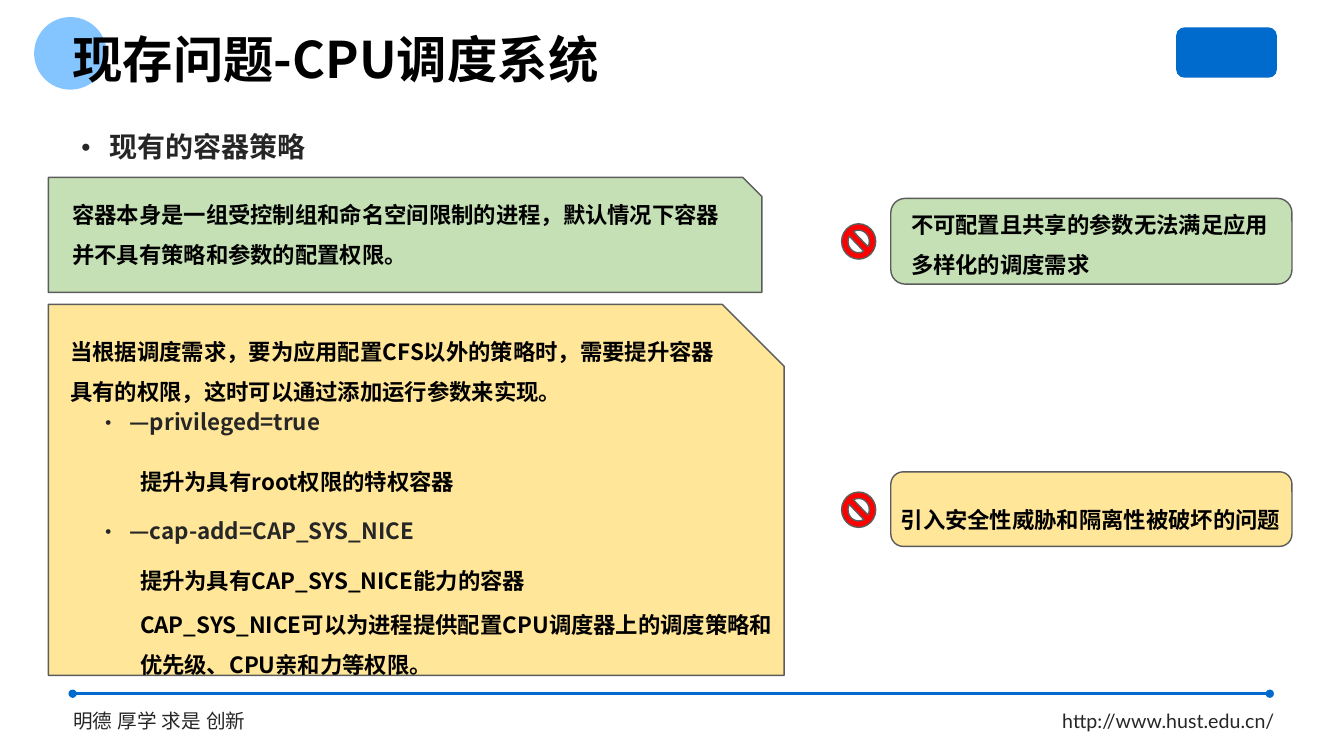
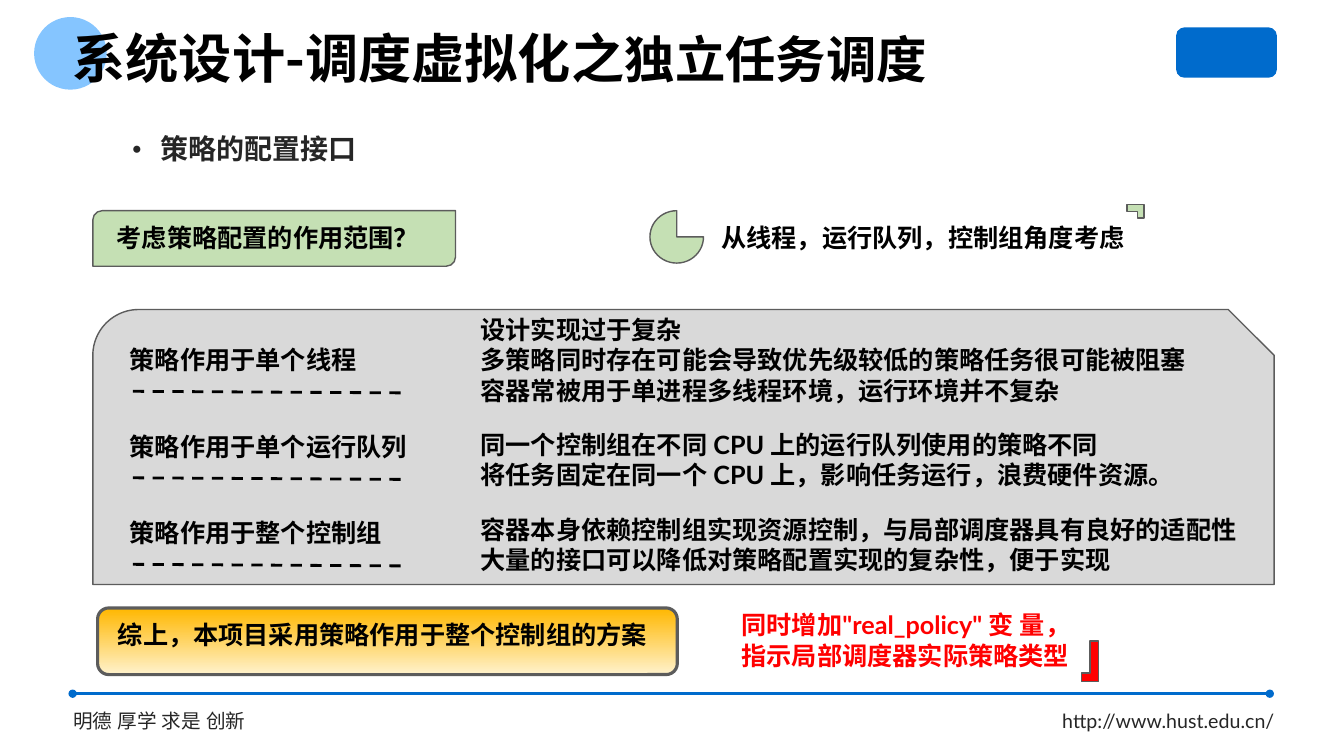
from lxml import etree
from pptx import Presentation
from pptx.dml.color import RGBColor
from pptx.enum.dml import MSO_LINE
from pptx.enum.shapes import MSO_CONNECTOR, MSO_SHAPE
from pptx.enum.text import MSO_ANCHOR, MSO_AUTO_SIZE, PP_ALIGN
from pptx.oxml.ns import qn
from pptx.util import Cm, Pt

BLACK = RGBColor(0x00, 0x00, 0x00)
INK = RGBColor(0x26, 0x26, 0x26)
OUTLINE = RGBColor(0x5C, 0x5C, 0x5C)
BLUE = RGBColor(0x00, 0x6B, 0xCC)
SKY = RGBColor(0x85, 0xC5, 0xFF)
GREEN = RGBColor(0xC5, 0xE0, 0xB4)
YELLOW = RGBColor(0xFF, 0xE6, 0x99)
GRAY = RGBColor(0xD9, 0xD9, 0xD9)
RED = RGBColor(0xFF, 0x00, 0x00)
CREAM = RGBColor(0xFF, 0xF2, 0xCC)
GOLD = RGBColor(0xFF, 0xB7, 0x00)

OVAL, ROUNDED = MSO_SHAPE.OVAL, MSO_SHAPE.ROUNDED_RECTANGLE
SNIPPED, SNIP_ROUND = MSO_SHAPE.SNIP_1_RECTANGLE, MSO_SHAPE.SNIP_ROUND_RECTANGLE
DIAGONAL, PIE = MSO_SHAPE.ROUND_2_DIAG_RECTANGLE, MSO_SHAPE.PIE
CORNER, FORBIDDEN = MSO_SHAPE.CORNER, MSO_SHAPE.NO_SYMBOL
STRAIGHT, DASH = MSO_CONNECTOR.STRAIGHT, MSO_LINE.DASH
MIDDLE, LEFT, FIXED = MSO_ANCHOR.MIDDLE, PP_ALIGN.LEFT, MSO_AUTO_SIZE.NONE

CJK, LATO = "Noto Sans CJK SC", "Lato"
TITLE = {"font": CJK, "sizes": (36,), "color": BLACK, "bold": True, "spacing": 0.9}
LONG_TITLE = {**TITLE, "sizes": (38, 36)}
HEADING = {"font": CJK, "sizes": (20,), "color": INK, "bold": True, "spacing": 1.0,
           "bullet": ("•", 1.32, 1.0, 120)}
BODY = {"font": CJK, "sizes": (16,), "color": BLACK, "bold": True, "spacing": 1.5}
OPTION = {**BODY, "color": INK, "spacing": 1.2, "bullet": ("·", 0.81, 0.81, 100)}
POINT = {"font": LATO, "sizes": (18,), "color": BLACK, "bold": True, "spacing": 1.0}
ALERT = {**POINT, "color": RED}
FOOTER = {**POINT, "sizes": (14,), "color": INK, "bold": False}


def write(frame, lines, style):
    frame.word_wrap = True
    frame.auto_size = FIXED
    for index, line in enumerate(lines):
        paragraph = frame.add_paragraph() if index else frame.paragraphs[0]
        if "bullet" in style:
            mark, margin, hang, percent = style["bullet"]
            properties = paragraph._p.get_or_add_pPr()
            properties.set("marL", str(Cm(margin)))
            properties.set("indent", str(-Cm(hang)))
            for tag, key, value in (("a:buSzPct", "val", str(percent * 1000)),
                                    ("a:buFont", "typeface", style["font"]),
                                    ("a:buChar", "char", mark)):
                etree.SubElement(properties, qn(tag)).set(key, value)
        paragraph.alignment = LEFT
        paragraph.line_spacing = style["spacing"]
        paragraph.space_before = Pt(0)
        parts = line if isinstance(line, tuple) else (line,)
        for text, size in zip(parts, style["sizes"]):
            run = paragraph.add_run()
            run.text = text
            values = {"size": Pt(size), "bold": style["bold"], "name": style["font"]}
            for key, value in values.items():
                setattr(run.font, key, value)
            run.font.color.rgb = style["color"]
            east_asian = etree.SubElement(run.font._element, qn("a:ea"))
            east_asian.set("typeface", style["font"])


def draw(slide, preset, box, fill, outline=OUTLINE, weight=1):
    shape = slide.shapes.add_shape(preset, *map(Cm, box))
    shape.shadow.inherit = False
    shape.fill.solid()
    shape.fill.fore_color.rgb = fill
    if outline is None:
        shape.line.fill.background()
    else:
        shape.line.color.rgb = outline
        shape.line.width = Pt(weight)
    return shape


prs = Presentation()
prs.slide_width, prs.slide_height = Cm(33.87), Cm(19.05)
layout = prs.slide_layouts[1]
for unused in list(layout.placeholders)[2:]:
    unused.element.getparent().remove(unused.element)
for holder, box in zip(layout.placeholders, ((1.57, 0.74, 26.97, 1.63),
                                             (1.19, 2.92, 18, 1.52))):
    for key, value in zip(("left", "top", "width", "height"), box):
        setattr(holder, key, Cm(value))

problems = prs.slides.add_slide(layout)
design = prs.slides.add_slide(layout)

for left, text in ((1.6, "明德 厚学 求是 创新"), (26.52, "http://www.hust.edu.cn/")):
    footer = problems.shapes.add_textbox(Cm(left), Cm(17.73), Cm(6.5), Cm(0.86))
    write(footer.text_frame, [text], FOOTER)
draw(problems, OVAL, (0.86, 0.43, 1.83, 1.83), SKY, None)
draw(problems, ROUNDED, (29.64, 0.69, 2.54, 1.27), BLUE, None)
rule = problems.shapes.add_connector(STRAIGHT, Cm(1.83), Cm(17.48), Cm(32), Cm(17.48))
rule.line.color.rgb = BLUE
rule.line.width = Pt(1.75)
for tag in ("a:headEnd", "a:tailEnd"):
    etree.SubElement(rule.element.spPr.find(qn("a:ln")), qn(tag)).set("type", "oval")
etree.SubElement(rule.element.spPr, qn("a:effectLst"))
for position, decoration in enumerate(list(problems.shapes)[2:], start=2):
    layout.shapes.element.insert(position, decoration.element)

for slide, title, title_style, heading in (
    (problems, "现存问题-CPU调度系统", TITLE, "现有的容器策略"),
    (design, ("系统设计-调度虚拟化之", "独立任务调度"), LONG_TITLE, "策略的配置接口"),
):
    write(slide.shapes.title.text_frame, [title], title_style)
    write(slide.placeholders[1].text_frame, [heading], HEADING)
    for holder in slide.placeholders:
        holder.text_frame.vertical_anchor = MIDDLE
heading = design.placeholders[1]
for key, value in {"left": 2.46, "top": 2.97, "width": 18, "height": 1.52}.items():
    setattr(heading, key, Cm(value))

for preset, box, fill in (
    (SNIPPED, (1.22, 7.67, 18.54, 9.35), YELLOW),
    (SNIPPED, (1.22, 4.47, 17.98, 2.9), GREEN),
    (ROUNDED, (22.45, 11.89, 10.11, 1.88), YELLOW),
    (ROUNDED, (22.45, 5, 10.11, 2.16), GREEN),
    (FORBIDDEN, (21.21, 12.4, 0.86, 0.89), RED),
    (FORBIDDEN, (21.21, 5.64, 0.86, 0.89), RED),
):
    draw(problems, preset, box, fill)

for preset, box, fill, angle in (
    (DIAGONAL, (2.34, 5.31, 9.14, 1.4), GREEN, 0),
    (SNIP_ROUND, (2.34, 7.8, 29.77, 6.93), GRAY, 0),
    (PIE, (16.38, 5.31, 1.35, 1.32), GREEN, 0),
    (CORNER, (28.4, 5.16, 0.43, 0.33), GREEN, 180),
    (CORNER, (26.96, 16.45, 1.02, 0.43), RED, 270),
):
    draw(design, preset, box, fill).rotation = angle

conclusion = draw(design, ROUNDED, (2.46, 15.32, 14.61, 1.68), GOLD, weight=2.25)
conclusion.fill.gradient()
conclusion.fill.gradient_angle = 90
for stop, color, position in zip(conclusion.fill.gradient_stops, (CREAM, GOLD), (0, 1)):
    stop.color.rgb = color
    stop.position = position

for slide, style, box, lines in (
    (problems, BODY, (1.57, 4.6, 16.94, 2.29),
     ["容器本身是一组受控制组和命名空间限制的进程，默认情况下容器并不具有策略和参数的配置权限。"]),
    (problems, BODY, (1.52, 8.05, 16.94, 2.29),
     ["当根据调度需求，要为应用配置CFS以外的策略时，需要提升容器具有的权限，这时可以通过添加运行参数来实现。"]),
    (problems, OPTION, (2.21, 10.03, 9.86, 1.07), ["—privileged=true"]),
    (problems, BODY, (3.28, 11.33, 16.94, 1.27), ["提升为具有root权限的特权容器"]),
    (problems, OPTION, (2.21, 12.78, 9.86, 1.07), ["—cap-add=CAP_SYS_NICE"]),
    (problems, BODY, (3.28, 13.84, 16.94, 1.27), ["提升为具有CAP_SYS_NICE能力的容器"]),
    (problems, BODY, (3.28, 14.94, 16.94, 2.29),
     ["CAP_SYS_NICE可以为进程提供配置CPU调度器上的调度策略和优先级、CPU亲和力等权限。"]),
    (problems, BODY, (22.45, 12.29, 11, 1.27), ["引入安全性威胁和隔离性被破坏的问题"]),
    (problems, BODY, (22.71, 4.85, 11, 2.29),
     ["不可配置且共享的参数无法满足应用", "多样化的调度需求"]),
    (design, POINT, (2.69, 5.49, 8.8, 1.02), ["考虑策略配置的作用范围？"]),
    (design, POINT, (17.93, 5.49, 12.04, 1.02), ["从线程，运行队列，控制组角度考虑"]),
    (design, POINT, (11.86, 7.8, 21.34, 2.54),
     ["设计实现过于复杂",
      "多策略同时存在可能会导致优先级较低的策略任务很可能被阻塞",
      "容器常被用于单进程多线程环境，运行环境并不复杂"]),
    (design, POINT, (11.86, 10.69, 21.34, 1.78),
     ["同一个控制组在不同 CPU 上的运行队列使用的策略不同",
      "将任务固定在同一个 CPU 上，影响任务运行，浪费硬件资源。"]),
    (design, POINT, (11.86, 12.83, 21.34, 1.78),
     ["容器本身依赖控制组实现资源控制，与局部调度器具有良好的适配性",
      "大量的接口可以降低对策略配置实现的复杂性，便于实现"]),
    (design, POINT, (2.72, 15.47, 14.35, 1.02), ["综上，本项目采用策略作用于整个控制组的方案"]),
    (design, ALERT, (18.44, 15.24, 14, 1.78),
     ['同时增加"real_policy" 变 量，', "指示局部调度器实际策略类型"]),
):
    passage = slide.shapes.add_textbox(*map(Cm, box))
    write(passage.text_frame, lines, style)

for row, scope in enumerate(("策略作用于单个线程", "策略作用于单个运行队列", "策略作用于整个控制组")):
    offset = 2.18 * row
    label = design.shapes.add_textbox(Cm(3.02), Cm(8.56 + offset), Cm(8.8), Cm(1.02))
    write(label.text_frame, [scope], POINT)
    underline = design.shapes.add_connector(
        STRAIGHT, Cm(3.35), Cm(9.86 + offset), Cm(10.13), Cm(9.9 + offset))
    underline.line.color.rgb = BLACK
    underline.line.width = Pt(2)
    underline.line.dash_style = DASH
    etree.SubElement(underline.element.spPr, qn("a:effectLst"))

prs.save("out.pptx")
